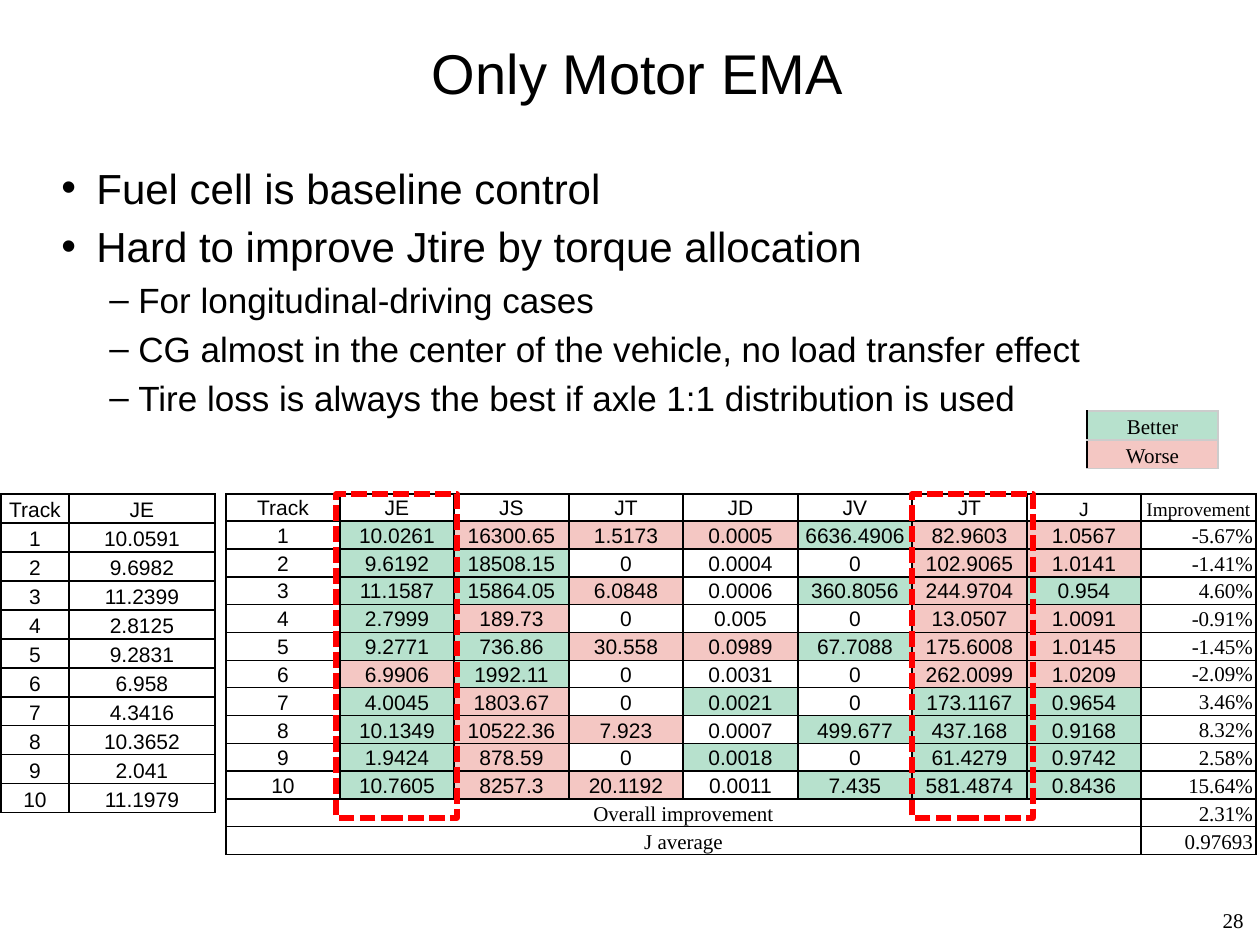
from dataclasses import dataclass
from typing import NamedTuple, Optional

from lxml.etree import SubElement
from pptx import Presentation
from pptx.dml.color import RGBColor
from pptx.enum.dml import MSO_LINE
from pptx.enum.shapes import MSO_SHAPE
from pptx.enum.text import MSO_ANCHOR as Anchor, PP_ALIGN as Align
from pptx.oxml.ns import qn
from pptx.util import Pt

EMU_PER_PX = 914400 / 126


@dataclass(frozen=True)
class Theme:
    ink: str = "000000"
    better: str = "B7E1CD"
    worse: str = "F4C7C3"
    pale: str = "CCCCCC"
    highlight: str = "FF0000"
    sans: str = "Arial"
    serif: str = "Times New Roman"
    title: int = 32
    bullet: int = 24
    sub_bullet: int = 20
    cell: int = 12
    small: int = 11


THEME = Theme()
FILLS = {"B": THEME.better, "W": THEME.worse}


class Box(NamedTuple):
    left: int
    top: int
    width: int
    height: int


class Bullet(NamedTuple):
    text: str
    level: int = 0


class BulletStyle(NamedTuple):
    mark: str
    size: int
    margin: int
    hang: int


class Cell(NamedTuple):
    text: str
    fill: Optional[str] = None
    font: str = THEME.sans
    size: int = THEME.cell
    align: Align = Align.CENTER
    span: int = 1


class Track(NamedTuple):
    values: str
    marks: str
    improvement: str


BULLET_STYLES = [BulletStyle("•", THEME.bullet, 35, 35), BulletStyle("–", THEME.sub_bullet, 77, 29)]
BULLETS = [
    Bullet("Fuel cell is baseline control"),
    Bullet("Hard to improve Jtire by torque allocation"),
    Bullet("For longitudinal-driving cases", 1),
    Bullet("CG almost in the center of the vehicle, no load transfer effect", 1),
    Bullet("Tire loss is always the best if axle 1:1 distribution is used", 1),
]
BASELINE = "10.0591 9.6982 11.2399 2.8125 9.2831 6.958 4.3416 10.3652 2.041 11.1979".split()
TRACKS = [
    Track("10.0261 16300.65 1.5173 0.0005 6636.4906 82.9603 1.0567", "BWWWBWW", "-5.67%"),
    Track("9.6192 18508.15 0 0.0004 0 102.9065 1.0141", "BB---WW", "-1.41%"),
    Track("11.1587 15864.05 6.0848 0.0006 360.8056 244.9704 0.954", "BBW-BWB", "4.60%"),
    Track("2.7999 189.73 0 0.005 0 13.0507 1.0091", "BW---WW", "-0.91%"),
    Track("9.2771 736.86 30.558 0.0989 67.7088 175.6008 1.0145", "BBWWBWW", "-1.45%"),
    Track("6.9906 1992.11 0 0.0031 0 262.0099 1.0209", "WB---WW", "-2.09%"),
    Track("4.0045 1803.67 0 0.0021 0 173.1167 0.9654", "BW-B-BB", "3.46%"),
    Track("10.1349 10522.36 7.923 0.0007 499.677 437.168 0.9168", "BWW-BBB", "8.32%"),
    Track("1.9424 878.59 0 0.0018 0 61.4279 0.9742", "BW-B-BB", "2.58%"),
    Track("10.7605 8257.3 20.1192 0.0011 7.435 581.4874 0.8436", "BWW-BBB", "15.64%"),
]
SUMMARY = [("Overall improvement", "2.31%"), ("J average", "0.97693")]


def px(length: int) -> int:
    return round(length * EMU_PER_PX)


def place(box: Box) -> list[int]:
    return [px(length) for length in box]


def share(total: int, count: int) -> list[int]:
    return [total * (i + 1) // count - total * i // count for i in range(count)]


def style(para, size: int, font: str, align: Align = Align.LEFT) -> None:
    para.alignment = align
    para.font.size = Pt(size)
    para.font.name = font
    para.font.color.rgb = RGBColor.from_string(THEME.ink)


def add_bullets(page, box: Box, bullets: list[Bullet]) -> None:
    frame = page.shapes.add_textbox(*place(box)).text_frame
    frame.word_wrap = True
    for i, bullet in enumerate(bullets):
        look = BULLET_STYLES[bullet.level]
        para = frame.add_paragraph() if i else frame.paragraphs[0]
        para.text = bullet.text
        para.level = bullet.level
        style(para, look.size, THEME.sans)
        props = para._p.get_or_add_pPr()
        props.set("marL", str(px(look.margin)))
        props.set("indent", str(-px(look.hang)))
        spacing = SubElement(props, qn("a:spcBef"))
        SubElement(spacing, qn("a:spcPct"), val="20000")
        SubElement(props, qn("a:buFont"), typeface=THEME.sans)
        SubElement(props, qn("a:buChar"), char=look.mark)
        props.append(props.find(qn("a:defRPr")))


def set_borders(cell, colors: dict[str, str], points: float) -> None:
    props = cell._tc.get_or_add_tcPr()
    for side in "LRTB":
        line = SubElement(props, qn(f"a:ln{side}"), w=str(Pt(points)))
        fill = SubElement(line, qn("a:solidFill"))
        SubElement(fill, qn("a:srgbClr"), val=colors.get(side, colors["all"]))


def add_grid(page, left: int, top: int, widths: list[int], heights: list[int],
             rows: list[list[Cell]], borders: dict[str, str], points: float) -> None:
    box = Box(left, top, sum(widths), sum(heights))
    table = page.shapes.add_table(len(heights), len(widths), *place(box)).table
    table.first_row = table.horz_banding = False
    for column, width in zip(table.columns, widths):
        column.width = px(width)
    for r, (cells, height) in enumerate(zip(rows, heights)):
        table.rows[r].height = px(height)
        for c in range(len(widths)):
            set_borders(table.cell(r, c), borders, points)
        c = 0
        for item in cells:
            cell = table.cell(r, c)
            if item.span > 1:
                cell.merge(table.cell(r, c + item.span - 1))
            cell.vertical_anchor = Anchor.BOTTOM
            cell.margin_left = cell.margin_right = px(3)
            cell.margin_top = cell.margin_bottom = px(1)
            if item.fill:
                cell.fill.solid()
                cell.fill.fore_color.rgb = RGBColor.from_string(item.fill)
            else:
                cell.fill.background()
            para = cell.text_frame.paragraphs[0]
            para.text = item.text
            style(para, item.size, item.font, item.align)
            c += item.span


def add_highlight(page, box: Box) -> None:
    shape = page.shapes.add_shape(MSO_SHAPE.RECTANGLE, *place(box))
    shape.shadow.inherit = False
    shape.fill.background()
    shape.line.color.rgb = RGBColor.from_string(THEME.highlight)
    shape.line.width = Pt(3)
    shape.line.dash_style = MSO_LINE.SQUARE_DOT


def result_rows() -> list[list[Cell]]:
    rows = [[Cell(name) for name in "Track JE JS JT JD JV JT".split()]
            + [Cell("J", size=THEME.small), Cell("Improvement", font=THEME.serif, size=THEME.small)]]
    for number, track in enumerate(TRACKS, 1):
        scores = [Cell(value, FILLS.get(mark)) for value, mark in zip(track.values.split(), track.marks)]
        rows.append([Cell(str(number)), *scores, Cell(track.improvement, font=THEME.serif, align=Align.RIGHT)])
    for label, value in SUMMARY:
        rows.append([Cell(label, font=THEME.serif, span=8), Cell(value, font=THEME.serif, align=Align.RIGHT)])
    return rows


def main() -> None:
    deck = Presentation()
    deck.slide_width, deck.slide_height = px(1260), px(945)
    page = deck.slides.add_slide(deck.slide_layouts[5])

    title = page.shapes.title
    title.left, title.top, title.width, title.height = place(Box(144, 15, 987, 115))
    title.text_frame.text = "Only Motor EMA"
    title.text_frame.vertical_anchor = Anchor.MIDDLE
    style(title.text_frame.paragraphs[0], THEME.title, THEME.sans, Align.CENTER)

    number = page.shapes.add_textbox(*place(Box(1182, 895, 74, 50))).text_frame
    number.word_wrap = True
    number.vertical_anchor = Anchor.MIDDLE
    number.text = "28"
    style(number.paragraphs[0], THEME.cell, THEME.serif, Align.RIGHT)

    add_bullets(page, Box(49, 156, 1162, 365), BULLETS)

    legend = [[Cell("Better", THEME.better, THEME.serif)], [Cell("Worse", THEME.worse, THEME.serif)]]
    add_grid(page, 1087, 411, [131], [29] * 2, legend, {"all": THEME.pale, "L": THEME.ink}, 0.75)

    black = {"all": THEME.ink}
    add_grid(page, 226, 494, share(1030, 9), share(360, 13), result_rows(), black, 1)
    baseline = [[Cell("Track"), Cell("JE")]]
    baseline += [[Cell(str(i)), Cell(value)] for i, value in enumerate(BASELINE, 1)]
    add_grid(page, 1, 494, [68, 146], [29] * 11, baseline, black, 1)

    for left in (336, 912):
        add_highlight(page, Box(left, 494, 121, 324))

    deck.save("out.pptx")


if __name__ == "__main__":
    main()
